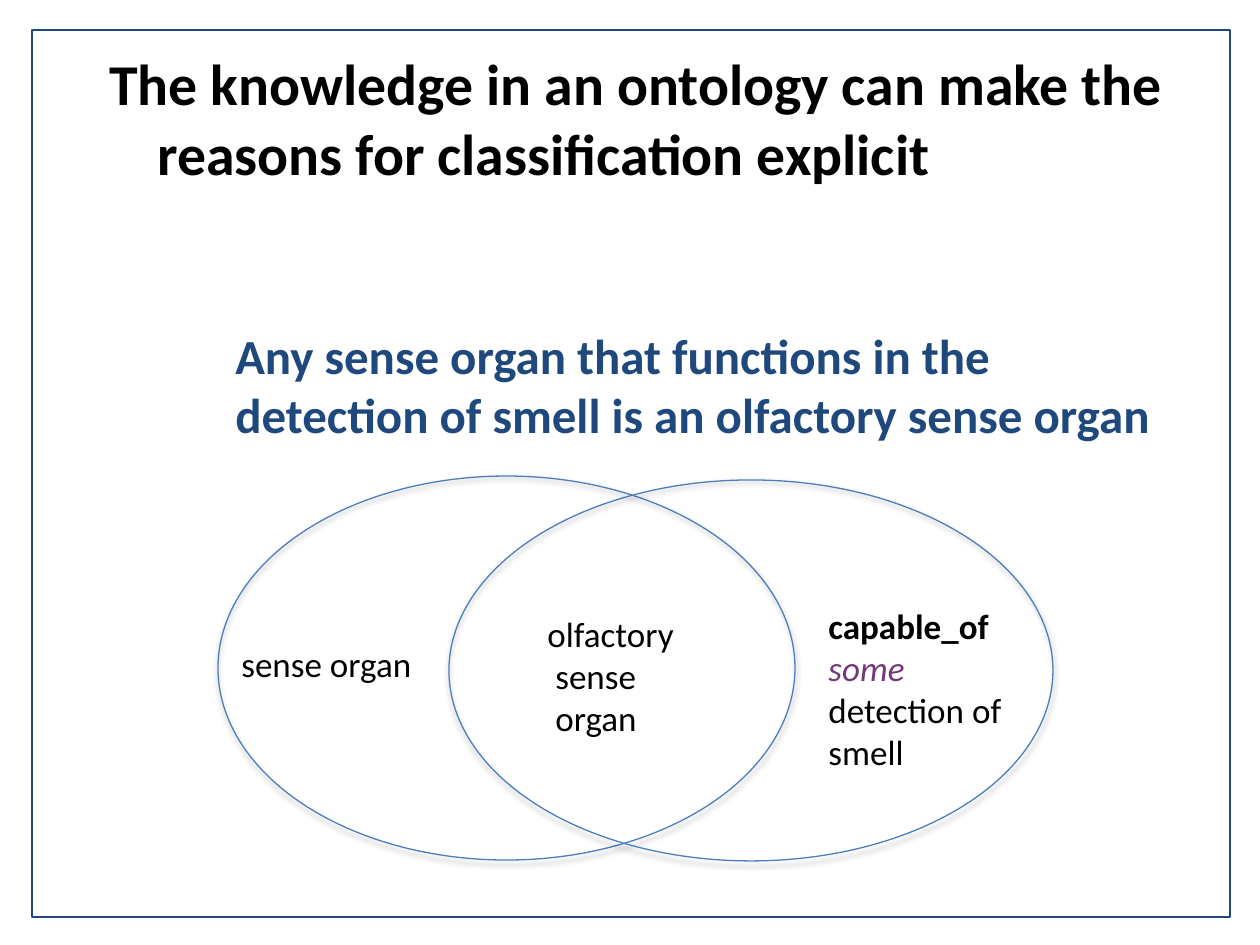
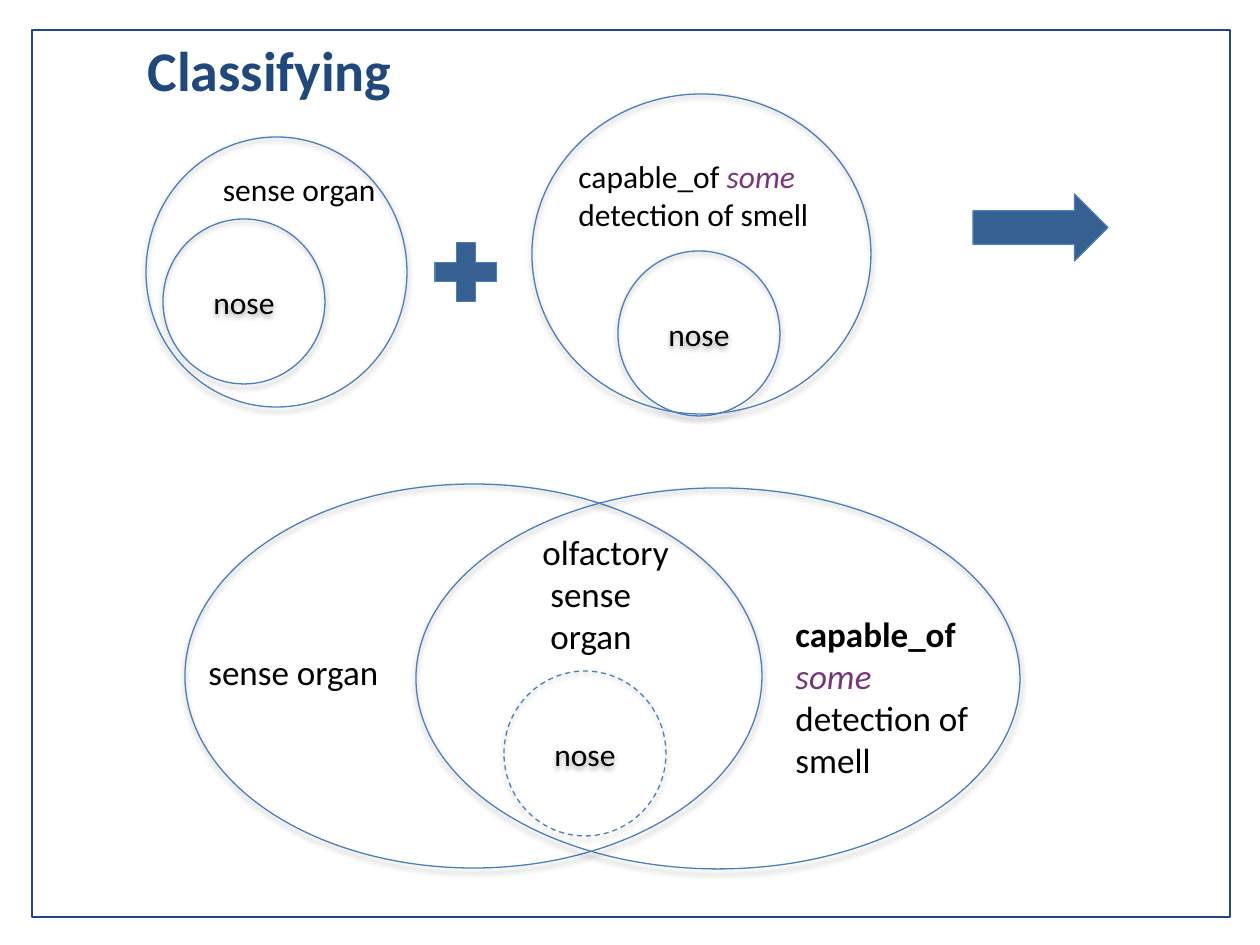
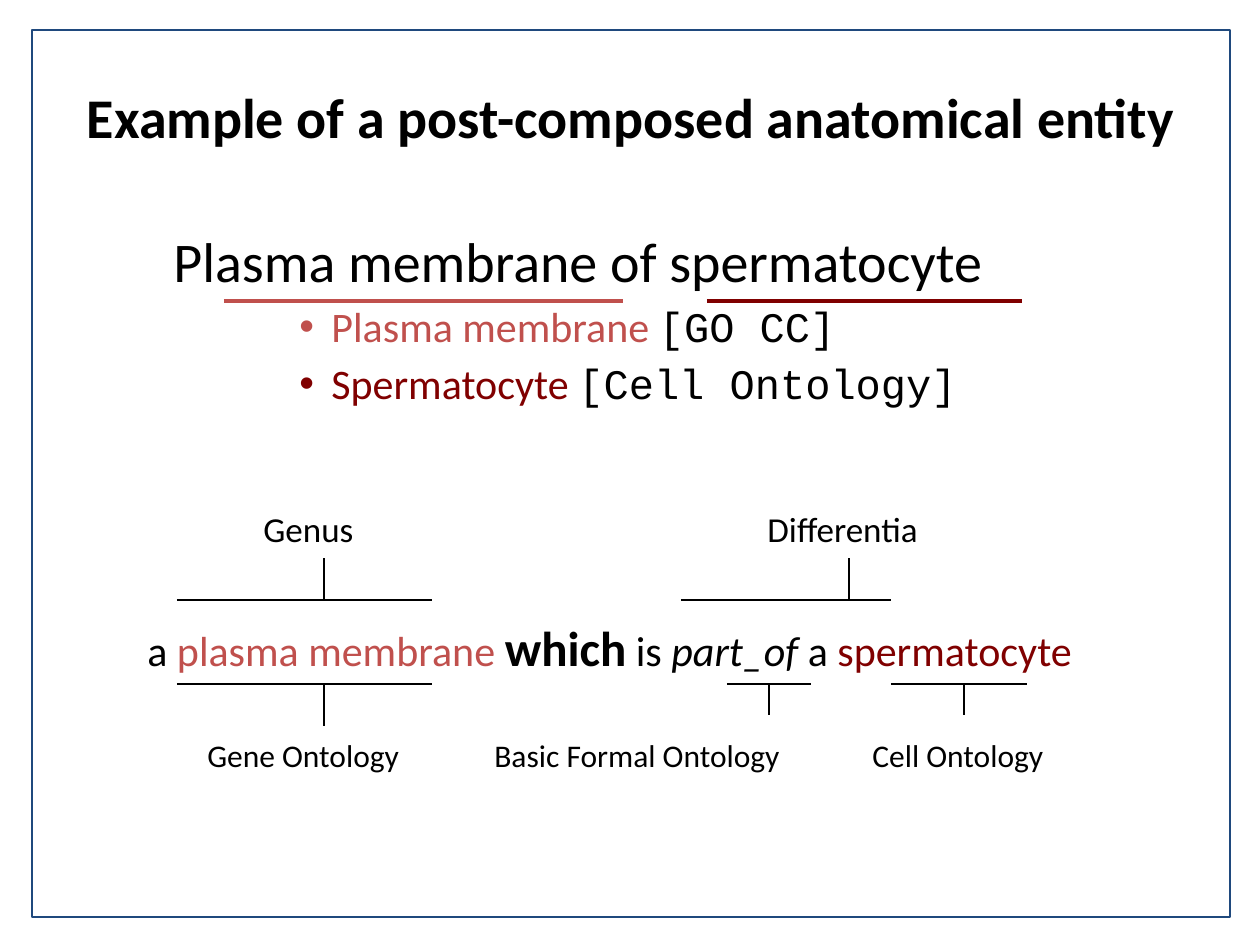
from dataclasses import dataclass

from lxml import etree
from pptx import Presentation
from pptx.dml.color import RGBColor
from pptx.enum.dml import MSO_LINE
from pptx.enum.shapes import MSO_CONNECTOR, MSO_SHAPE
from pptx.enum.text import MSO_ANCHOR, PP_ALIGN
from pptx.oxml.ns import qn
from pptx.util import Emu, Pt

RECTANGLE, ELLIPSE = MSO_SHAPE.RECTANGLE, MSO_SHAPE.OVAL
ARROW, PLUS = MSO_SHAPE.RIGHT_ARROW, MSO_SHAPE.MATH_PLUS
STRAIGHT = MSO_CONNECTOR.STRAIGHT
DASH = MSO_LINE.DASH
LEFT, CENTER, RIGHT = PP_ALIGN.LEFT, PP_ALIGN.CENTER, PP_ALIGN.RIGHT
TOP, MIDDLE = MSO_ANCHOR.TOP, MSO_ANCHOR.MIDDLE

PX_PER_INCH = 126
SLIDE_WIDTH, SLIDE_HEIGHT = 1260, 945
CIRCLE_WIDTH, CIRCLE_HEIGHT = 162, 165


@dataclass(frozen=True)
class Theme:
    font: str = "Calibri"
    mono: str = "Courier New"
    ink: str = "000000"
    navy: str = "1F497D"
    outline: str = "4B7EBC"
    solid: str = "376092"
    purple: str = "75367A"
    red: str = "C0504D"
    maroon: str = "800000"
    long_title: int = 33
    title: int = 32
    strong: int = 28
    body: int = 24
    label: int = 20
    small: int = 18
    hairline: float = 0.75
    frame_line: float = 1.5
    underline: float = 2.25


THEME = Theme()


def px(value):
    return Emu(round(value * 914400 / PX_PER_INCH))


def color(value):
    return RGBColor.from_string(value)


def span(text, **style):
    """Pair a piece of text with the style that differs from its box."""
    return text, style


SOME = span("some", tint=THEME.purple, italic=True)


def format_run(run, size, tint=THEME.ink, face=THEME.font, bold=False, italic=False):
    font = run.font
    font.size, font.name = Pt(size), face
    font.bold, font.italic = bold, italic
    font.color.rgb = color(tint)


def fill_paragraph(para, spans, **base):
    for text, style in spans:
        run = para.add_run()
        run.text = text
        format_run(run, **{**base, **style})


def set_indent(para, margin, hanging):
    properties = para._p.get_or_add_pPr()
    properties.set("marL", str(px(margin)))
    properties.set("indent", str(-px(hanging)))
    return properties


def add_bullet(para, margin, hanging):
    properties = set_indent(para, margin, hanging)
    etree.SubElement(properties, qn("a:buFont")).set("typeface", "Arial")
    etree.SubElement(properties, qn("a:buChar")).set("char", "•")


def add_text(page, left, top, width, height, *lines, align=LEFT, anchor=TOP, **base):
    """Add a text box; each line is a string or a list of spans."""
    box = page.shapes.add_textbox(px(left), px(top), px(width), px(height))
    frame = box.text_frame
    frame.word_wrap = True
    frame.vertical_anchor = anchor
    for index, line in enumerate(lines):
        para = frame.add_paragraph() if index else frame.paragraphs[0]
        para.alignment = align
        fill_paragraph(para, [span(line)] if isinstance(line, str) else line, **base)
    return box


def add_figure(page, kind, left, top, width, height, line=THEME.outline,
               weight=THEME.hairline, fill=None):
    shape = page.shapes.add_shape(kind, px(left), px(top), px(width), px(height))
    shape.shadow.inherit = False
    shape.line.color.rgb = color(line)
    shape.line.width = Pt(weight)
    if fill:
        shape.fill.solid()
        shape.fill.fore_color.rgb = color(fill)
    else:
        shape.fill.background()
    return shape


def add_soft_shadow(shape):
    effects = shape._element.spPr.find(qn("a:effectLst"))
    shadow = etree.SubElement(effects, qn("a:outerShdw"), blurRad="40000",
                              dist="23000", dir="5400000", rotWithShape="0")
    tint = etree.SubElement(shadow, qn("a:srgbClr"), val=THEME.ink)
    etree.SubElement(tint, qn("a:alpha"), val="35000")


def add_set(page, left, top, width, height):
    """Add an outlined ellipse that stands for a class."""
    ellipse = add_figure(page, ELLIPSE, left, top, width, height)
    add_soft_shadow(ellipse)
    return ellipse


def add_nose(page, left, top):
    circle = add_set(page, left, top, CIRCLE_WIDTH, CIRCLE_HEIGHT)
    frame = circle.text_frame
    frame.text = "nose"
    frame.vertical_anchor = MIDDLE
    frame.paragraphs[0].alignment = CENTER
    format_run(frame.paragraphs[0].runs[0], THEME.small)
    return circle


def add_venn(page, left, top, overlap_left, overlap_top):
    """Add the two overlapping classes and the label of their overlap."""
    add_set(page, left, top, 577, 384)
    add_set(page, left + 231, top + 4, 604, 381)
    add_text(page, left + 11, top + 160, 253, 55, "sense organ", size=THEME.label)
    add_text(page, left + 598, top + 122, 232, 183,
             [span("capable_of ", bold=True), SOME, span(" detection of smell")],
             size=THEME.label)
    add_text(page, overlap_left, overlap_top, 195, 140,
             "olfactory", " sense", " organ", size=THEME.label)


def add_line(page, x1, y1, x2, y2, tint=THEME.ink, weight=THEME.hairline):
    line = page.shapes.add_connector(STRAIGHT, px(x1), px(y1), px(x2), px(y2))
    line.line.color.rgb = color(tint)
    line.line.width = Pt(weight)
    etree.SubElement(line._element.spPr, qn("a:effectLst"))


def add_bracket(page, left, right, bar, stem, stem_end):
    """Add a level bar with a stem that leads to its label."""
    add_line(page, left, bar, right, bar)
    add_line(page, stem, bar, stem, stem_end)


def add_page(deck):
    page = deck.slides.add_slide(deck.slide_layouts[6])
    add_figure(page, RECTANGLE, 32, 30, 1198, 887, THEME.navy, THEME.frame_line)
    return page


def build_reasons(deck):
    page = add_page(deck)
    title = add_text(
        page, 97, 42, 1086, 160,
        "The knowledge in an ontology can make the reasons for classification explicit",
        size=THEME.long_title, bold=True)
    set_indent(title.text_frame.paragraphs[0], 48, 48)
    add_text(page, 223, 319, 960, 135,
             "Any sense organ that functions in the detection of smell "
             "is an olfactory sense organ",
             size=THEME.strong, tint=THEME.navy, bold=True)
    add_venn(page, 218, 476, 535, 606)


def build_classifying(deck):
    page = add_page(deck)
    add_text(page, 135, 29, 953, 81, "Classifying",
             size=THEME.title, tint=THEME.navy, bold=True)

    add_nose(page, 163, 219)
    add_set(page, 146, 137, 261, 270)
    add_text(page, 185, 164, 203, 50, "sense organ", align=RIGHT, size=THEME.small)

    add_figure(page, PLUS, 424, 232, 84, 80, fill=THEME.solid)

    add_nose(page, 618, 251)
    add_set(page, 532, 94, 339, 320)
    add_text(page, 566, 151, 286, 89, [span("capable_of "), SOME],
             "detection of smell", size=THEME.small)

    add_figure(page, ARROW, 973, 194, 135, 67, fill=THEME.solid)

    add_venn(page, 185, 484, 530, 524)
    inferred = add_nose(page, 504, 671)
    inferred.line.dash_style = DASH


def build_example(deck):
    page = add_page(deck)
    add_text(page, 32, 37, 1198, 158, "Example of a post-composed anatomical entity",
             align=CENTER, anchor=MIDDLE, size=THEME.title, bold=True)

    entity = add_text(page, 161, 220, 1050, 213, "Plasma membrane of spermatocyte",
                      size=THEME.title)
    for term, tint, source in (("Plasma membrane ", THEME.red, "[GO CC]"),
                               ("Spermatocyte ", THEME.maroon, "[Cell Ontology]")):
        para = entity.text_frame.add_paragraph()
        para.space_before = Pt(4)
        add_bullet(para, 158, 32)
        fill_paragraph(para, [span(term, tint=tint), span(source, face=THEME.mono)],
                       size=THEME.body)
    for left, right, tint in ((224, 623, THEME.red), (707, 1022, THEME.maroon)):
        add_line(page, left, 301, right, 301, tint, THEME.underline)

    add_text(page, 135, 611, 1004, 72,
             [span("a "), span("plasma membrane ", tint=THEME.red),
              span("which", size=THEME.strong, bold=True), span(" is "),
              span("part_of", italic=True), span(" a "),
              span("spermatocyte", tint=THEME.maroon)],
             size=THEME.body)

    for left, right, stem in ((177, 432, 324), (681, 891, 849)):
        add_bracket(page, left, right, 600, stem, 558)
    for left, right, stem, stem_end in ((177, 432, 324, 726), (727, 811, 769, 715),
                                        (891, 1027, 964, 715)):
        add_bracket(page, left, right, 684, stem, stem_end)

    for text, left, width in (("Genus", 251, 122), ("Differentia", 755, 185)):
        add_text(page, left, 501, width, 54, text, size=THEME.label)
    for text, left, width in (("Gene Ontology", 195, 238),
                              ("Basic Formal Ontology", 482, 339),
                              ("Cell Ontology", 860, 218)):
        add_text(page, left, 730, width, 50, text, size=THEME.small)


def main():
    deck = Presentation()
    deck.slide_width, deck.slide_height = px(SLIDE_WIDTH), px(SLIDE_HEIGHT)
    build_reasons(deck)
    build_classifying(deck)
    build_example(deck)
    deck.save("out.pptx")


if __name__ == "__main__":
    main()
